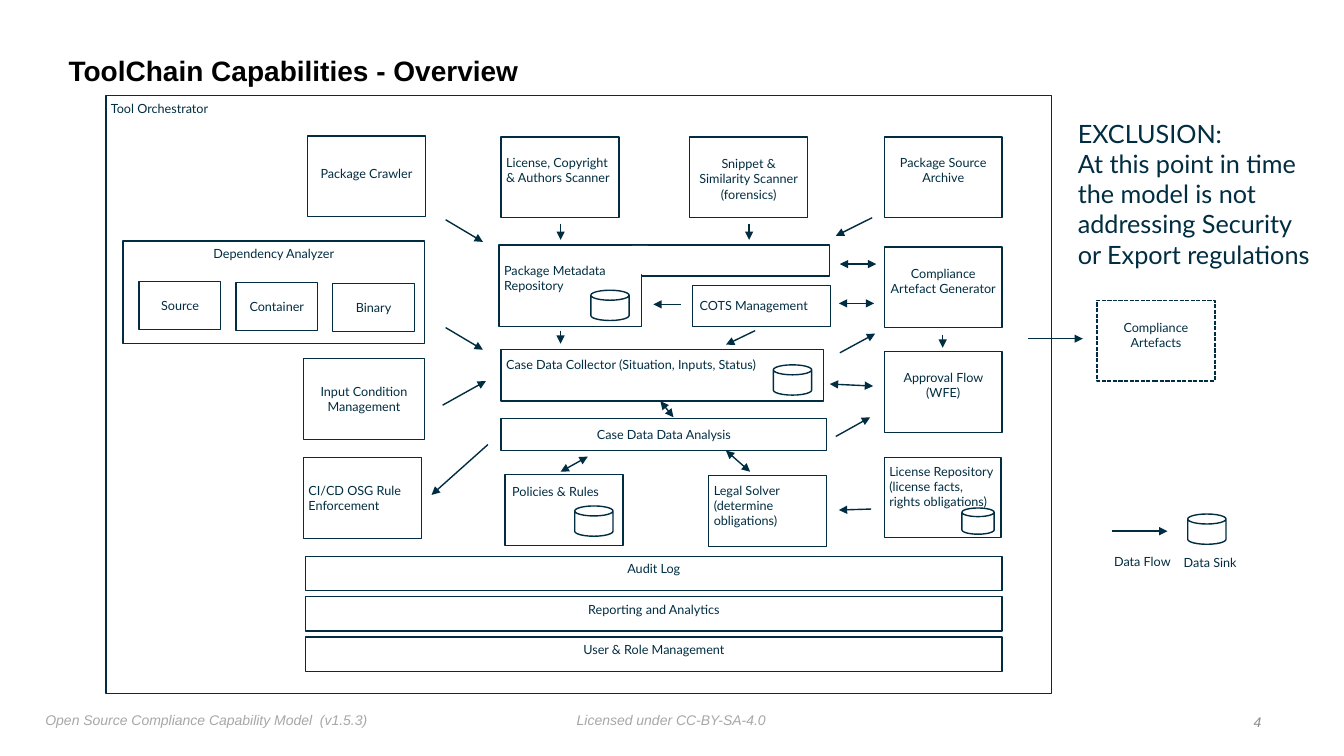
from lxml import etree
from pptx import Presentation
from pptx.dml.color import RGBColor
from pptx.enum.dml import MSO_LINE
from pptx.enum.shapes import MSO_CONNECTOR, MSO_SHAPE
from pptx.enum.text import MSO_ANCHOR, MSO_AUTO_SIZE, PP_ALIGN
from pptx.oxml.ns import qn
from pptx.util import Inches, Pt

COLORS = {"ink": "002D41", "paper": "FFFFFF", "title": "000000",
          "footer": "A7A7A7", "number": "888C91"}
LEFT, CENTER, RIGHT = PP_ALIGN.LEFT, PP_ALIGN.CENTER, PP_ALIGN.RIGHT
TOP, MIDDLE = MSO_ANCHOR.TOP, MSO_ANCHOR.MIDDLE
RECT, CAN = MSO_SHAPE.RECTANGLE, MSO_SHAPE.CAN
DASH, FIT, STRAIGHT = MSO_LINE.SQUARE_DOT, MSO_AUTO_SIZE.SHAPE_TO_FIT_TEXT, MSO_CONNECTOR.STRAIGHT
PAD = 0.05
BOX_W, BOX_H = 1.17, 0.8


def rgb(name):
    return RGBColor.from_string(COLORS[name])


class Diagram:
    """Holds the current slide and the look shared by its elements."""

    def __init__(self, slide):
        self.slide = slide
        self.shapes = slide.shapes

    def set_text(self, tf, text, size=9, font="Lato", color="ink", align=LEFT,
                 bold=False, italic=False, left=PAD, top=PAD):
        tf.margin_left, tf.margin_top = Inches(left), Inches(top)
        tf.margin_right = tf.margin_bottom = Inches(PAD)
        tf.text = text
        for p in tf.paragraphs:
            p.alignment = align
            p.font.size, p.font.name = Pt(size), font
            p.font.bold, p.font.italic = bold, italic
            p.font.color.rgb = rgb(color)

    def title(self, text, x, y, w, h):
        s = self.shapes.title
        s.left, s.top, s.width, s.height = map(Inches, (x, y, w, h))
        tf = s.text_frame
        tf.word_wrap, tf.vertical_anchor = True, MIDDLE
        self.set_text(tf, text, size=20, font="Arial", color="title", bold=True)
        tf.paragraphs[0].line_spacing = 0.9

    def label(self, text, x, y, w, h, **style):
        tf = self.shapes.add_textbox(*map(Inches, (x, y, w, h))).text_frame
        tf.word_wrap, tf.auto_size = False, FIT
        self.set_text(tf, text, **style)

    def shape(self, kind, x, y, w, h, outlined=True):
        s = self.shapes.add_shape(kind, *map(Inches, (x, y, w, h)))
        s.shadow.inherit = False
        s.fill.solid()
        s.fill.fore_color.rgb = rgb("paper")
        if outlined:
            s.line.color.rgb = rgb("ink")
            s.line.width = Pt(1)
        else:
            s.line.fill.background()
        return s

    def box(self, text, x, y, w=BOX_W, h=BOX_H, align=CENTER, drop=None, left=PAD):
        """Text is centred vertically, or starts `drop` inches below the top edge."""
        s = self.shape(RECT, x, y, w, h)
        tf = s.text_frame
        tf.word_wrap = True
        tf.vertical_anchor = MIDDLE if drop is None else TOP
        self.set_text(tf, text, align=align, left=left, top=PAD + (drop or 0))
        return s

    def sink(self, x, y, w=0.38, h=0.3):
        self.shape(CAN, x, y, w, h).adjustments[0] = 0.33

    def arrow(self, x1, y1, x2, y2, both=False):
        c = self.shapes.add_connector(STRAIGHT, *map(Inches, (x1, y1, x2, y2)))
        c.line.color.rgb = rgb("ink")
        c.line.width = Pt(1)
        ln = c._element.spPr.find(qn("a:ln"))
        for end in ("a:headEnd", "a:tailEnd") if both else ("a:tailEnd",):
            etree.SubElement(ln, qn(end), type="triangle")
        etree.SubElement(c._element.spPr, qn("a:effectLst"))


def main():
    prs = Presentation()
    prs.slide_width, prs.slide_height = Inches(13.33), Inches(7.5)
    d = Diagram(prs.slides.add_slide(prs.slide_layouts[5]))

    footer = {"size": 10, "font": "Arial", "italic": True}
    d.label("Licensed under CC-BY-SA-4.0", 5.67, 7.01, 1.99, 0.25, color="footer", **footer)
    d.label("Open Source Compliance Capability Model  (v1.5.3)", 0.4, 7.01, 3.32, 0.27,
            color="footer", **footer)
    d.label("4", 12.37, 7.03, 0.19, 0.25, color="number", align=RIGHT, **footer)
    d.title("ToolChain Capabilities - Overview", 0.63, 0.39, 10.75, 0.65)

    d.box("Tool Orchestrator", 1.05, 0.95, 9.38, 5.93, align=LEFT, drop=0)

    # Scanners and archive
    d.box("Package Crawler", 3.05, 1.35, drop=0.25)
    d.box("License, Copyright & Authors Scanner", 4.97, 1.36, align=LEFT, drop=0.13)
    d.box("Snippet & Similarity Scanner\v(forensics)", 6.84, 1.36, drop=0.14)
    d.box("Package Source Archive", 8.77, 1.36, drop=0.13)

    # Inputs
    d.box("Dependency Analyzer", 1.22, 2.39, 2.99, 1.02, drop=0)
    for i, kind in enumerate(("Source", "Container", "Binary")):
        d.box(kind, 1.38 + 0.96 * i, 2.79 + 0.01 * i, 0.81, 0.48)
    d.box("Input Condition Management", 3.01, 3.56, 1.2)
    d.box("CI/CD OSG Rule Enforcement", 3.01, 4.54, align=LEFT)

    # Case data: the metadata repository opens into the bar on its right
    d.box("Package Metadata Repository", 4.95, 2.43, 1.41, 0.81, align=LEFT, drop=0.13)
    d.shape(RECT, 6.36, 2.43, 1.87, 0.31)
    d.shape(RECT, 6.27, 2.44, 0.16, 0.28, outlined=False)
    d.box("COTS Management", 6.87, 2.83, 1.37, 0.41, align=LEFT, drop=0.08, left=0.07)
    d.box("Case Data Collector (Situation, Inputs, Status)", 4.97, 3.47, 3.2, 0.51,
          align=LEFT, drop=0.02)
    d.box("Case Data Data Analysis", 4.97, 4.15, 3.23, 0.32)
    d.box("Policies & Rules", 5.01, 4.71, h=0.7, align=LEFT, drop=0.04, left=0.07)
    d.box("Legal Solver (determine obligations)", 7.03, 4.72, h=0.7, align=LEFT, drop=0.02)

    # Results
    d.box("Compliance Artefact Generator", 8.77, 2.45, drop=0.14)
    d.box("Approval Flow (WFE)", 8.77, 3.49, drop=0.13)
    d.box("License Repository (license facts, rights obligations)", 8.77, 4.54, 1.16, 0.79,
          align=LEFT, drop=0.01)
    artefacts = d.box("Compliance Artefacts", 10.88, 2.98, drop=0.14)
    artefacts.line.dash_style = DASH

    for i, service in enumerate(("Audit Log", "Reporting and Analytics", "User & Role Management")):
        d.box(service, 3.03, 5.52 + 0.4 * i, 6.91, 0.34, drop=0)

    for x, y in ((5.86, 2.88), (7.67, 3.62), (5.7, 5.02), (11.78, 5.1)):
        d.sink(x, y)
    d.sink(9.54, 5.04, 0.32, 0.26)

    one_way = (
        (4.84, 4.41, 4.28, 4.91), (4.42, 3.25, 4.79, 3.47), (4.39, 4.02, 4.82, 3.78),
        (5.56, 3.28, 5.56, 3.41), (5.56, 2.22, 5.56, 2.38), (8.33, 3.5, 8.68, 3.31),
        (4.42, 2.18, 4.79, 2.4), (10.2, 3.36, 10.74, 3.36), (6.75, 3.02, 6.48, 3.02),
        (8.64, 5.05, 8.32, 5.06), (9.35, 3.32, 9.35, 3.45), (8.65, 2.16, 8.29, 2.34),
        (7.49, 3.28, 7.2, 3.42), (7.43, 2.22, 7.43, 2.38), (11.03, 5.27, 11.58, 5.27),
        (8.29, 4.33, 8.63, 4.14),
    )
    two_way = (
        (5.56, 4.68, 5.83, 4.53), (8.33, 2.62, 8.69, 2.62), (8.32, 3.01, 8.67, 3.01),
        (7.44, 4.68, 7.2, 4.47), (8.23, 3.81, 8.66, 3.83), (6.68, 4.14, 6.55, 3.98),
    )
    for ends in one_way:
        d.arrow(*ends)
    for ends in two_way:
        d.arrow(*ends, both=True)

    d.label("Data Flow", 11, 5.45, 0.67, 0.25)
    d.label("Data Sink", 11.69, 5.46, 0.63, 0.25)
    d.label("EXCLUSION:\nAt this point in time\vthe model is not\naddressing Security\n"
            "or Export regulations", 10.64, 1.12, 2.46, 1.62, size=18)

    prs.save("out.pptx")


if __name__ == "__main__":
    main()
